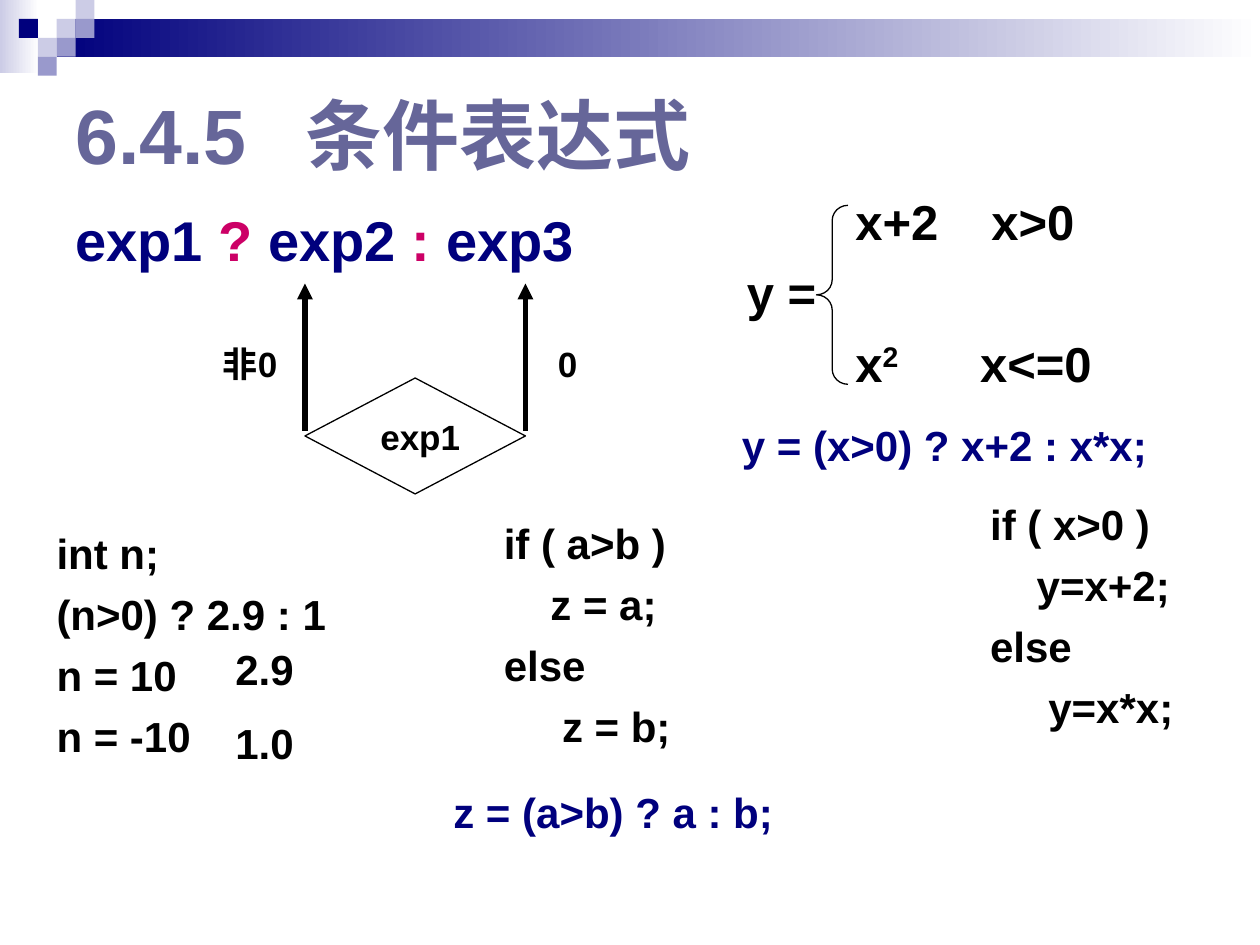
"""Build a slide explaining the conditional expression in C."""
from lxml.etree import SubElement
from pptx import Presentation
from pptx.dml.color import RGBColor
from pptx.enum.shapes import MSO_CONNECTOR, MSO_SHAPE
from pptx.enum.text import MSO_ANCHOR
from pptx.oxml.ns import qn
from pptx.util import Inches, Pt

COLORS = {
    "navy": "00007D", "violet": "9999CC", "pale": "CCCCE6", "white": "FFFFFF",
    "title": "666699", "pink": "CC0066", "black": "000000",
}
TILE = 0.15
TILES = [(3, 1, "pale"), (4, 0, "pale"), (4, 1, "violet"), (2, 2, "pale"),
         (1, 1, "navy"), (3, 2, "violet"), (2, 3, "violet")]
BANDS = [((0, 0, 0.31, 0.58), "pale"), ((0.45, 0.15, 9.55, 0.3), "navy")]

TITLE = ["6.4.5\t条件表达式"]
SYNTAX = [[("exp1 ", "navy"), ("? ", "pink"), ("exp2 ", "navy"),
           (": ", "pink"), ("exp3", "navy")]]
TYPES = ["int n;", "(n>0) ? 2.9 : 1", "n = 10", "n = -10"]
RESULTS = ["2.9", "1.0"]
SIGN_CODE = ["if ( x>0 )", "    y=x+2;", "else", "     y=x*x;"]
MAX_CODE = ["if ( a>b )", "    z = a;", "else", "     z = b;"]
CASES = ["\tx+2\tx>0", "y =",
         [("\tx", "black"), ("2", "black", 30), ("\tx<=0", "black")]]

TEXTS = [
    (TITLE, (0.5, 0.5, 7.57, 1.12), 44,
     {"color": "title", "anchor": MSO_ANCHOR.MIDDLE, "tabs": [[1.83]]}),
    (SYNTAX, (0.5, 1.58, 4.27, 0.83), 32, {}),
    (["非0"], (1.67, 2.67, 0.67, 0.77), 20, {}),
    (["0"], (4.33, 2.67, 0.33, 0.44), 20, {}),
    (["exp1"], (2.92, 3.25, 0.9, 0.44), 20, {}),
    (["y = (x>0) ? x+2 : x*x;"], (5.79, 3.28, 3.78, 0.5), 24, {"color": "navy"}),
    (TYPES, (0.35, 4.14, 2.75, 1.95), 24, {}),
    (RESULTS, (1.77, 5.09, 1.08, 1.06), 24, {"gap": 15, "spacing": 0.94}),
    (SIGN_CODE, (7.76, 3.91, 1.81, 1.92), 24, {}),
    (CASES, (5.83, 1.47, 3.58, 1.67), 28,
     {"gap": 7, "tabs": [[0.86, 1.94], [], [0.86, 1.85]]}),
    (["z = (a>b) ? a : b;"], (3.5, 6.19, 2.84, 0.5), 24, {"color": "navy"}),
    (MAX_CODE, (3.9, 4.06, 1.81, 1.92), 24, {}),
]
DIAMOND = (2.42, 3, 1.75, 0.92)
BRACE = (6.48, 1.63, 0.25, 1.42)
ARROW_TOP, ARROW_BOTTOM = 2.25, 3.42


def rgb(name):
    return RGBColor.from_string(COLORS[name])


def add_block(page, kind, place, color=None):
    shape = page.shapes.add_shape(kind, *map(Inches, place))
    shape.shadow.inherit = False
    if color:
        shape.fill.solid()
        shape.fill.fore_color.rgb = rgb(color)
        shape.line.fill.background()
    else:
        shape.fill.background()
        shape.line.color.rgb = rgb("black")
        shape.line.width = Pt(0.75)
    return shape


def add_band(page, place, color):
    band = add_block(page, MSO_SHAPE.RECTANGLE, place, color)
    band.fill.gradient()
    band.fill.gradient_angle = 0
    for stop, name in zip(band.fill.gradient_stops, (color, "white")):
        stop.color.rgb = rgb(name)


def add_arrow(page, x):
    arrow = page.shapes.add_connector(
        MSO_CONNECTOR.STRAIGHT, Inches(x), Inches(ARROW_TOP),
        Inches(x), Inches(ARROW_BOTTOM))
    arrow.line.color.rgb = rgb("black")
    arrow.line.width = Pt(3)
    SubElement(arrow.line._get_or_add_ln(), qn("a:headEnd"), type="triangle")
    SubElement(arrow._element.spPr, qn("a:effectLst"))


def add_tabs(paragraph, stops):
    tab_list = SubElement(paragraph._p.get_or_add_pPr(), qn("a:tabLst"))
    for stop in stops:
        SubElement(tab_list, qn("a:tab"), pos=str(Inches(stop)), algn="l")


def add_span(paragraph, text, color, baseline=0):
    span = paragraph.add_run()
    span.text = text
    span.font.color.rgb = rgb(color)
    if baseline:
        span._r.get_or_add_rPr().set("baseline", str(baseline * 1000))


def add_text(page, lines, place, size, color="black", anchor=MSO_ANCHOR.TOP,
             gap=6, spacing=None, tabs=()):
    frame = page.shapes.add_textbox(*map(Inches, place)).text_frame
    frame.word_wrap = True
    frame.vertical_anchor = anchor
    for index, line in enumerate(lines):
        paragraph = frame.add_paragraph() if index else frame.paragraphs[0]
        if index:
            paragraph.space_before = Pt(gap)
        if spacing:
            paragraph.line_spacing = spacing
        if tabs and tabs[index]:
            add_tabs(paragraph, tabs[index])
        paragraph.font.name = "Arial"
        paragraph.font.size = Pt(size)
        paragraph.font.bold = True
        for span in [(line, color)] if isinstance(line, str) else line:
            add_span(paragraph, *span)


def main():
    deck = Presentation()
    deck.slide_width, deck.slide_height = Inches(10), Inches(7.5)
    page = deck.slides.add_slide(deck.slide_layouts[6])
    for place, color in BANDS:
        add_band(page, place, color)
    for column, row, color in TILES:
        add_block(page, MSO_SHAPE.RECTANGLE,
                  (column * TILE, row * TILE, TILE, TILE), color)
    add_block(page, MSO_SHAPE.DIAMOND, DIAMOND)
    for x in (DIAMOND[0], DIAMOND[0] + DIAMOND[2]):
        add_arrow(page, x)
    brace = add_block(page, MSO_SHAPE.LEFT_BRACE, BRACE)
    brace.adjustments[0] = 0.48
    for lines, place, size, style in TEXTS:
        add_text(page, lines, place, size, **style)
    deck.save("out.pptx")


if __name__ == "__main__":
    main()
